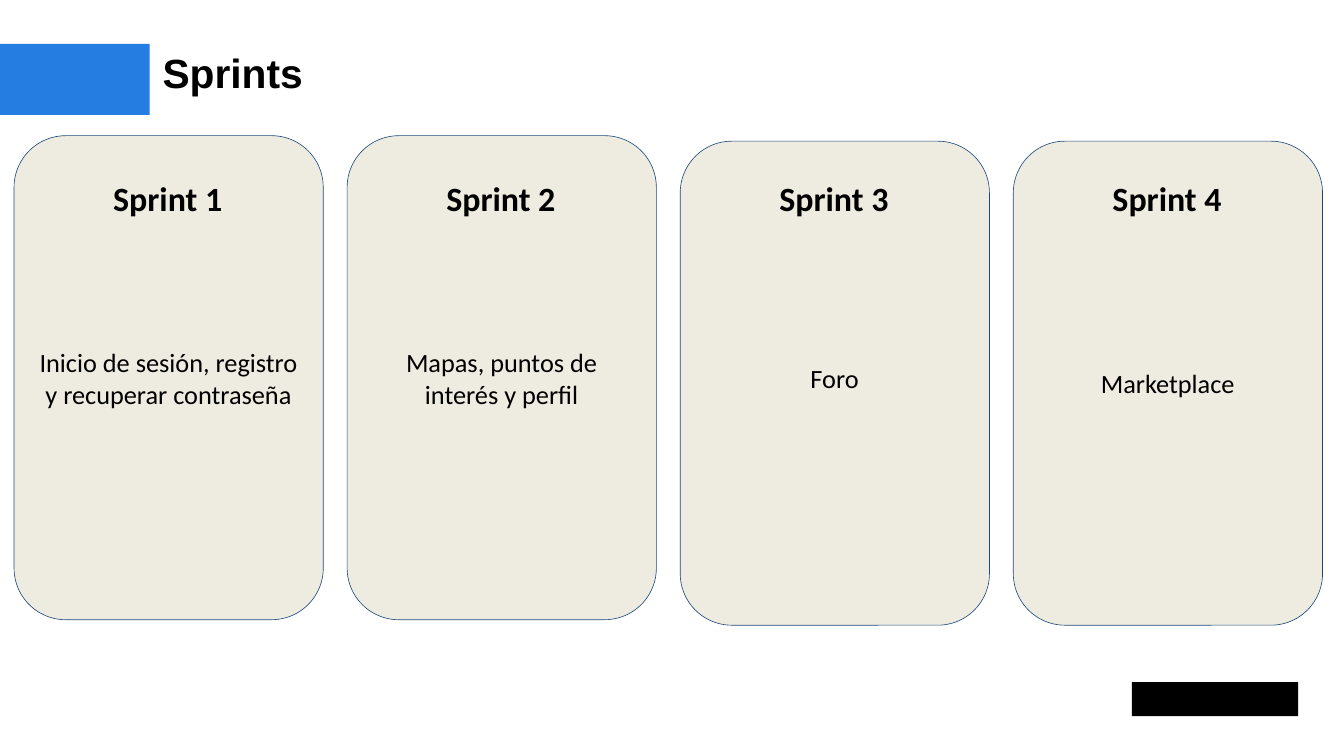
import pptx
import pptx.util
import pptx.dml.color
import pptx.enum.shapes
import pptx.enum.text

Inches = pptx.util.Inches
Pt = pptx.util.Pt
RGBColor = pptx.dml.color.RGBColor
MSO_SHAPE = pptx.enum.shapes.MSO_SHAPE
MSO_ANCHOR = pptx.enum.text.MSO_ANCHOR
PP_ALIGN = pptx.enum.text.PP_ALIGN

BLUE = RGBColor(0x25, 0x7C, 0xE1)
BLACK = RGBColor(0x00, 0x00, 0x00)
CREAM = RGBColor(0xEE, 0xEC, 0xE1)
NAVY = RGBColor(0x1F, 0x49, 0x7D)

CARD_LEFT = 0.23
CARD_PITCH = 5.45
CARD_WIDTH = 5.06
CARD_HEIGHT = 7.92
HEADING_TOP = 2.8

SPRINTS = [
    ("Sprint 1", "Inicio de sesión, registro y recuperar contraseña", 2.22, 4.42),
    ("Sprint 2", "Mapas, puntos de interés y perfil", 2.22, 4.42),
    ("Sprint 3", "Foro", 2.31, 4.42),
    ("Sprint 4", "Marketplace", 2.31, 4.5),
]


def add_block(slide, kind, left, top, width, height, color):
    block = slide.shapes.add_shape(
        kind, Inches(left), Inches(top), Inches(width), Inches(height))
    block.shadow.inherit = False
    block.fill.solid()
    block.fill.fore_color.rgb = color
    block.line.fill.background()
    return block


def write(frame, text, font_name, size, bold, align, anchor, inset):
    frame.word_wrap = True
    frame.vertical_anchor = anchor
    frame.margin_left = frame.margin_right = Inches(inset)
    frame.margin_top = frame.margin_bottom = Inches(inset)
    paragraph = frame.paragraphs[0]
    paragraph.text = text
    paragraph.alignment = align
    paragraph.font.name = font_name
    paragraph.font.size = Pt(size)
    paragraph.font.bold = bold
    paragraph.font.color.rgb = BLACK


def add_label(slide, text, left, top, width, height, size, bold, anchor):
    label = slide.shapes.add_textbox(
        Inches(left), Inches(top), Inches(width), Inches(height))
    write(label.text_frame, text, "Calibri", size, bold,
          PP_ALIGN.CENTER, anchor, 0.1)


def add_header(slide, left, top, width, height):
    add_block(slide, MSO_SHAPE.RECTANGLE, left, top, 2.45, height, BLUE)
    title = slide.shapes.title
    title.left, title.top = Inches(left + 2.66), Inches(top + 0.06)
    title.width, title.height = Inches(width - 2.66), Inches(0.81)
    write(title.text_frame, "Sprints", "Arial", 48, True,
          PP_ALIGN.LEFT, MSO_ANCHOR.TOP, 0)


def add_sprint_card(slide, heading, scope, left, top, scope_top):
    card = add_block(slide, MSO_SHAPE.ROUNDED_RECTANGLE,
                     left, top, CARD_WIDTH, CARD_HEIGHT, CREAM)
    card.adjustments[0] = 0.167
    card.line.color.rgb = NAVY
    card.line.width = Pt(0.75)
    add_label(slide, heading, left + 0.84, HEADING_TOP, 3.35, 0.81,
              40, True, MSO_ANCHOR.TOP)
    add_label(slide, scope, left + 0.3, scope_top, 4.45, 3.53,
              31, False, MSO_ANCHOR.MIDDLE)


def main():
    deck = pptx.Presentation()
    deck.slide_width = Inches(21.99)
    deck.slide_height = Inches(12.37)
    slide = deck.slides.add_slide(deck.slide_layouts[5])
    add_header(slide, 0, 0.72, 21.24, 1.16)
    for index, (heading, scope, top, scope_top) in enumerate(SPRINTS):
        add_sprint_card(slide, heading, scope,
                        CARD_LEFT + index * CARD_PITCH, top, scope_top)
    add_block(slide, MSO_SHAPE.RECTANGLE, 18.52, 11.16, 2.72, 0.56, BLACK)
    deck.save("out.pptx")


if __name__ == "__main__":
    main()
